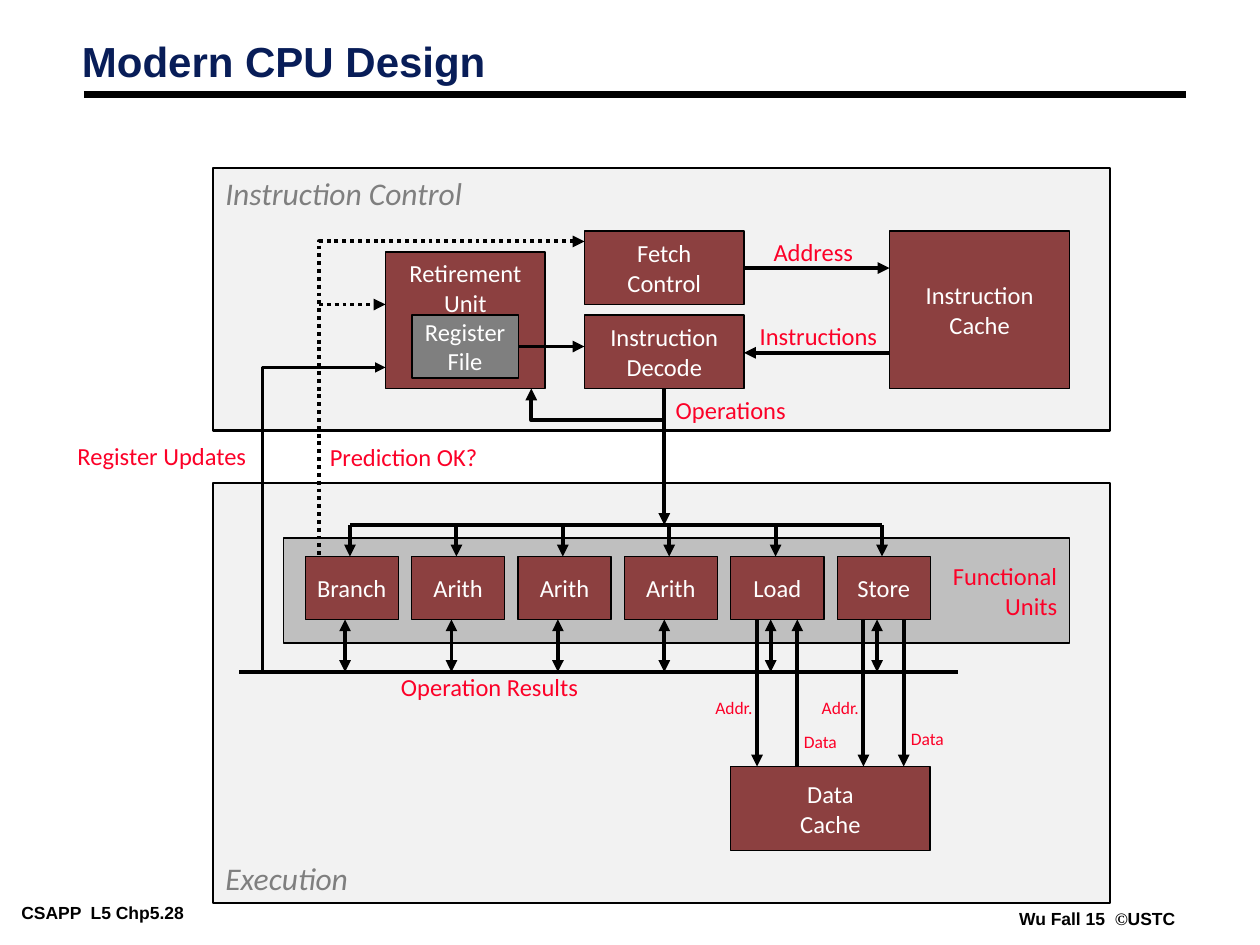
"""Build the Modern CPU Design slide: a block diagram of instruction control and execution."""
from dataclasses import dataclass

from lxml.etree import SubElement
from pptx import Presentation
from pptx.dml.color import RGBColor
from pptx.enum.dml import MSO_LINE
from pptx.enum.shapes import MSO_CONNECTOR, MSO_SHAPE
from pptx.enum.text import MSO_ANCHOR, MSO_AUTO_SIZE, PP_ALIGN
from pptx.oxml.ns import qn
from pptx.util import Pt


@dataclass(frozen=True)
class Theme:
    heading: str = "Arial"
    body: str = "Calibri"
    symbol: str = "Times New Roman"
    black: str = "000000"
    white: str = "FFFFFF"
    navy: str = "081D58"
    red: str = "FC0128"
    maroon: str = "8C4040"
    pale: str = "F2F2F2"
    silver: str = "BFBFBF"
    gray: str = "7F7F7F"
    title: float = 24
    section: float = 18
    label: float = 14
    small: float = 10
    rule: float = 4.5
    wire: float = 2.25
    frame: float = 1.5
    hair: float = 0.75


class Diagram:
    def __init__(self, s, theme):
        self.s = s
        self.t = theme

    def font(self, r, size, color, name=None, bold=False, italic=False):
        f = r.font
        f.name, f.size, f.bold, f.italic = name or self.t.body, Pt(size), bold, italic
        f.color.rgb = RGBColor.from_string(color)

    def fill_text(self, tf, text, size, color, align=PP_ALIGN.LEFT, inset=(7.2, 3.6), **style):
        tf.margin_left = tf.margin_right = Pt(inset[0])
        tf.margin_top = tf.margin_bottom = Pt(inset[1])
        tf.text = text
        for p in tf.paragraphs:
            p.alignment = align
            for r in p.runs:
                self.font(r, size, color, **style)

    def title(self, text, x, y, w, h):
        sp = self.s.shapes.title
        sp.left, sp.top, sp.width, sp.height = Pt(x), Pt(y), Pt(w), Pt(h)
        tf = sp.text_frame
        tf.vertical_anchor = MSO_ANCHOR.TOP
        tf.auto_size = MSO_AUTO_SIZE.NONE
        self.fill_text(tf, text, self.t.title, self.t.navy, inset=(5, 2.2),
                       name=self.t.heading, bold=True)
        tf.paragraphs[0].line_spacing = 0.87

    def box(self, text, x, y, w, h, fill=None, line=None, size=None, color=None,
            anchor=MSO_ANCHOR.MIDDLE, align=PP_ALIGN.CENTER, italic=False):
        sp = self.s.shapes.add_shape(MSO_SHAPE.RECTANGLE, Pt(x), Pt(y), Pt(w), Pt(h))
        sp.shadow.inherit = False
        sp.fill.solid()
        sp.fill.fore_color.rgb = RGBColor.from_string(fill or self.t.maroon)
        sp.line.color.rgb = RGBColor.from_string(self.t.black)
        sp.line.width = Pt(line or self.t.hair)
        tf = sp.text_frame
        tf.word_wrap = False
        tf.vertical_anchor = anchor
        self.fill_text(tf, text, size or self.t.label, color or self.t.white, align, italic=italic)

    def panel(self, text, y, h, anchor):
        self.box(text, 121.7, y, 512.6, h, self.t.pale, self.t.frame, self.t.section,
                 self.t.gray, anchor, PP_ALIGN.LEFT, True)

    def label(self, text, x, y, w, h=24.5, size=None, align=PP_ALIGN.CENTER, color=None, **style):
        tb = self.s.shapes.add_textbox(Pt(x), Pt(y), Pt(w), Pt(h))
        tf = tb.text_frame
        tf.word_wrap = False
        tf.auto_size = MSO_AUTO_SIZE.SHAPE_TO_FIT_TEXT
        self.fill_text(tf, text, size or self.t.label, color or self.t.red, align, **style)
        return tf

    def footer(self, text, x, y, w):
        return self.label(text, x, y, w, 15.8, self.t.small, PP_ALIGN.LEFT, self.t.black,
                          inset=(5, 2.2), name=self.t.heading, bold=True)

    def stroke(self, sp, width, ends, dotted):
        sp.line.color.rgb = RGBColor.from_string(self.t.black)
        sp.line.width = Pt(width or self.t.wire)
        if dotted:
            sp.line.dash_style = MSO_LINE.ROUND_DOT
        ln = sp.element.spPr.find(qn("a:ln"))
        for end in ends:
            SubElement(ln, qn(f"a:{end}End"), type="triangle")

    def line(self, x1, y1, x2, y2, ends=("tail",), width=None, dotted=False):
        c = self.s.shapes.add_connector(MSO_CONNECTOR.STRAIGHT, Pt(x1), Pt(y1), Pt(x2), Pt(y2))
        self.stroke(c, width, ends, dotted)
        SubElement(c.element.spPr, qn("a:effectLst"))

    def elbow(self, points, ends, width=None, dotted=False):
        start, *rest = [(Pt(x), Pt(y)) for x, y in points]
        fb = self.s.shapes.build_freeform(*start)
        fb.add_line_segments(rest, close=False)
        sp = fb.convert_to_shape()
        sp.shadow.inherit = False
        sp.fill.background()
        self.stroke(sp, width, ends, dotted)


def main():
    prs = Presentation()
    prs.slide_width, prs.slide_height = Pt(720), Pt(540)
    t = Theme()
    d = Diagram(prs.slides.add_slide(prs.slide_layouts[5]), t)

    d.title("Modern CPU Design", 41.8, 22.3, 461.5, 45.4)
    d.line(48, 54, 678, 54, (), t.rule)
    d.footer("CSAPP  L5 Chp5.28", 7.2, 513.4, 140.4)
    p = d.footer("Wu Fall 15  ", 577.4, 516.6, 99.4).paragraphs[0]
    for text, name in (("©", t.symbol), ("USTC", t.heading)):
        r = p.add_run()
        r.text = text
        d.font(r, t.small, t.black, name, bold=True)

    d.panel("Execution", 276, 240, MSO_ANCHOR.BOTTOM)
    d.box("Functional\nUnits", 162, 307.5, 449.3, 60, t.silver, color=t.red, align=PP_ALIGN.RIGHT)
    d.panel("Instruction Control", 96, 150, MSO_ANCHOR.TOP)

    for text, x, y, w, h in (
        ("Instruction\nCache", 508.3, 132, 103, 90),
        ("Data\nCache", 417.6, 438, 113.9, 48),
        ("Fetch\nControl", 334, 132, 91.2, 42),
        ("Instruction\nDecode", 334, 180, 91.2, 42),
    ):
        d.box(text, x, y, w, h)
    d.box("Retirement\nUnit", 220.3, 144, 91.2, 78, anchor=MSO_ANCHOR.TOP)
    d.box("Register\nFile", 235.4, 180, 60.8, 36, t.gray)

    pitch = 60.8
    for i, text in enumerate(("Branch", "Arith", "Arith", "Arith", "Load", "Store")):
        dx = i * pitch
        d.box(text, 174.4 + dx, 318, 53.2, 36)
        d.line(200 + dx, 300, 200 + dx, 318)
        d.line(197.2 + dx, 354, 197.2 + dx, 384, ("head", "tail"))
    d.line(200, 300, 200 + 5 * pitch, 300, ())
    d.line(136.8, 384, 547.2, 384, ())

    for x1, y1, x2, y2 in (
        (425.2, 153.2, 508.3, 153.2),
        (508.3, 201.6, 425.2, 201.6),
        (379.6, 222, 379.6, 300),
        (296.2, 198, 334, 198),
        (432.6, 354, 432.6, 438),
        (455.6, 438, 455.6, 354),
        (493.4, 354, 493.4, 438),
        (516.4, 354, 516.4, 438),
    ):
        d.line(x1, y1, x2, y2)
    d.line(182.3, 174, 220.3, 174, dotted=True)
    d.elbow([(334, 138), (182.3, 138), (182.3, 318)], ("head",), dotted=True)
    d.elbow([(220.3, 210), (150, 210), (150, 384)], ("head",), t.frame)
    d.elbow([(379.6, 240), (303.6, 240), (303.6, 222)], ("tail",))

    for text, x, y, w in (
        ("Address", 434.9, 132, 59.8),
        ("Instructions", 427, 180, 81.4),
        ("Operations", 378.7, 222, 77.8),
        ("Prediction OK?", 181.4, 249.1, 98.6),
        ("Operation Results", 221.8, 380.2, 115.9),
        ("Register Updates", 36.7, 248.4, 111.6),
    ):
        d.label(text, x, y, w)
    for text, x, y, w in (
        ("Addr.", 401, 394.6, 36.7),
        ("Addr.", 461.8, 394.6, 36.7),
        ("Data", 452.2, 414, 33.1),
        ("Data", 513.4, 412.6, 33.1),
    ):
        d.label(text, x, y, w, 19.4, t.small)

    prs.save("out.pptx")


if __name__ == "__main__":
    main()
